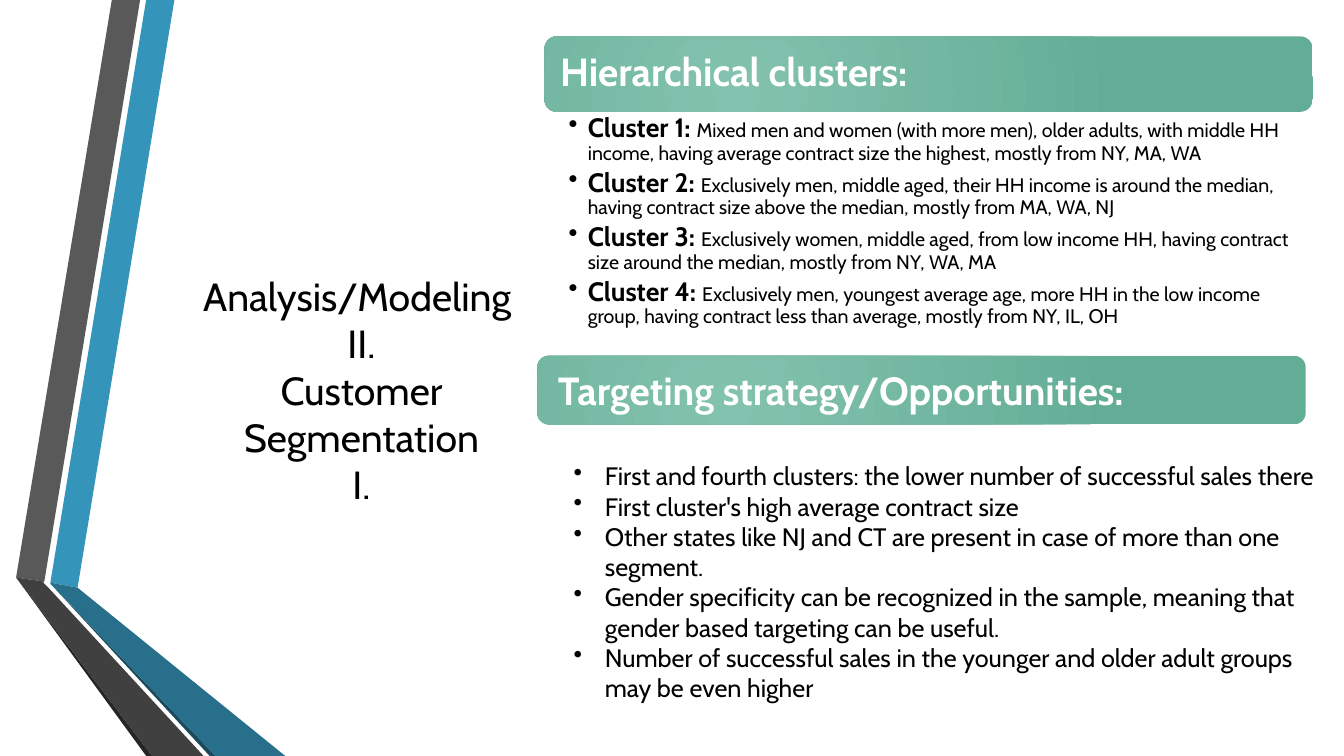
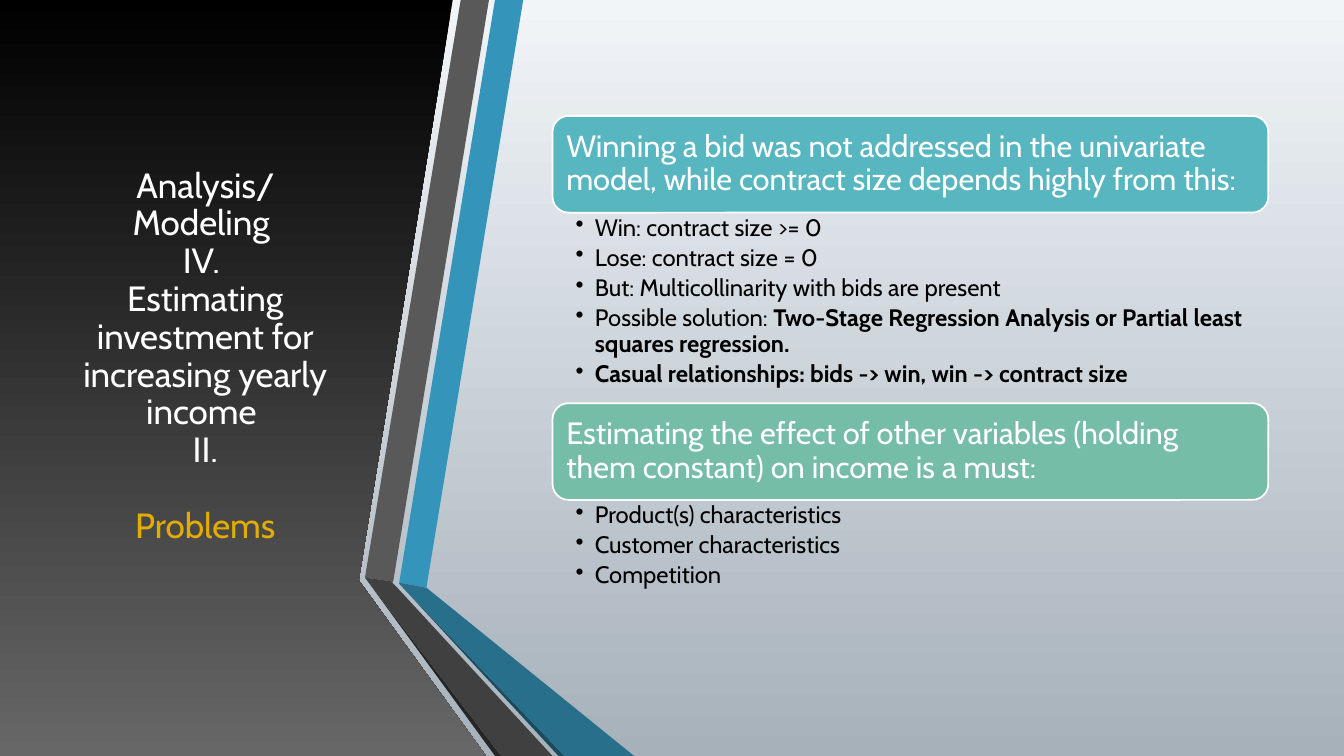
from pptx import Presentation
from pptx.dml.color import RGBColor
from pptx.enum.shapes import MSO_SHAPE
from pptx.enum.text import MSO_ANCHOR, PP_ALIGN
from pptx.oxml import parse_xml
from pptx.oxml.ns import nsdecls
from pptx.util import Pt

PX = 9144  # 100 px to the inch
FONT = "Cabin"
WHITE, BLACK, GOLD = "FFFFFF", "000000", "E2AC00"
SKY = ("F1F5F8", "A6B1BA")
MINT = ("83C2AE", "63AD96")
GLOW = (f'<a:path {nsdecls("a")} path="circle">'
        '<a:fillToRect l="50000" t="100000" r="100000" b="50000"/></a:path>')
DOT = f'<a:buChar {nsdecls("a")} char="•"/>'


def paint(fill, *tones):
    """One tone gives a solid fill, two give a gradient from top to bottom."""
    if len(tones) == 1:
        fill.solid()
        fill.fore_color.rgb = RGBColor.from_string(tones[0])
        return
    fill.gradient()
    fill.gradient_angle = 270
    for stop, tone in zip(fill.gradient_stops, tones):
        stop.color.rgb = RGBColor.from_string(tone)


def write(frame, lines, size, ink, pads=(10, 5, 10, 5), mid=True, lead=1.0,
          gap=0, hang=0, align=PP_ALIGN.LEFT, big=None):
    """Fill a frame with lines; text between asterisks is bold, in size big."""
    frame.word_wrap = True
    frame.vertical_anchor = MSO_ANCHOR.MIDDLE if mid else MSO_ANCHOR.TOP
    (frame.margin_left, frame.margin_top,
     frame.margin_right, frame.margin_bottom) = [pad * PX for pad in pads]
    for num, line in enumerate(lines):
        para = frame.add_paragraph() if num else frame.paragraphs[0]
        if hang:
            props = para._p.get_or_add_pPr()
            props.set("marL", str(hang * PX))
            props.set("indent", str(-hang * PX))
            props.append(parse_xml(DOT))
        para.alignment = align
        para.line_spacing = lead
        para.space_after = Pt(gap)
        para.font.name = FONT
        para.font.size = Pt(size)
        paint(para.font.fill, ink)
        for spot, part in enumerate(line.split("*")):
            for row, text in enumerate(part.split("\n")):
                if row:
                    para.add_line_break()
                if not text:
                    continue
                run = para.add_run()
                run.text = text
                if spot % 2:
                    run.font.bold = True
                    run.font.size = Pt(big or size)


deck = Presentation()
deck.slide_width, deck.slide_height = 1333 * PX, 750 * PX
one, two = [deck.slides.add_slide(deck.slide_layouts[6]) for _ in range(2)]

# Backgrounds
paint(one.background.fill, WHITE)
paint(two.background.fill, *SKY)

# Dark panel and bent ribbons: slide, left shift, fill, outline
PANEL = [(0, 0), (449, 0), (356, 575), (356, 576), (482, 750), (0, 750)]
BANDS = [
    ("3494BA", [(50, 578), (77, 583), (173, 0), (145, 0)]),
    ("595959", [(139, 0), (111, 0), (16, 573), (44, 577)]),
    ("262626", [(16, 573), (145, 750), (151, 750)]),
    ("1A4A5D", [(50, 579), (208, 750), (214, 750)]),
    ("276F8B", [(50, 579), (214, 750), (283, 750), (77, 583), (50, 578)]),
    ("404040", [(202, 750), (48, 583), (43, 578), (44, 577), (16, 573),
                (151, 750)]),
]
forms = [(two, 0, (BLACK, "676767"), PANEL)]
forms += [(slide, left, (tone,), dots)
          for slide, left in ((one, 0), (two, 346)) for tone, dots in BANDS]
for slide, left, tones, dots in forms:
    pen = slide.shapes.build_freeform(*dots[0], scale=PX)
    pen.add_line_segments(dots[1:], close=True)
    form = pen.convert_to_shape(left * PX, 0)
    form.shadow.inherit = False
    form.line.fill.background()
    paint(form.fill, *tones)

# Titles
box = one.shapes.add_textbox(176 * PX, 131 * PX, 365 * PX, 511 * PX)
write(box.text_frame, ["Analysis/Modeling \nII.\nCustomer Segmentation\nI."],
      28, BLACK, align=PP_ALIGN.CENTER)
box = two.shapes.add_textbox(59 * PX, 75 * PX, 289 * PX, 558 * PX)
write(box.text_frame,
      ["Analysis/Modeling \nIV. \nEstimating investment for increasing "
       "yearly income \nII.", "Problems"],
      25, WHITE, lead=0.9, align=PP_ALIGN.CENTER)
last = box.text_frame.paragraphs[-1]
last.space_before = Pt(27)
paint(last.font.fill, GOLD)

# Heading bars: slide, place, fill, text, size, side pad, line spacing
BARS = [
    (one, (540, 36, 762, 75), MINT, "*Hierarchical clusters:*", 28, 12, 0.9),
    (one, (533, 353, 762, 68), MINT, "*Targeting strategy/Opportunities:*",
     28, 17, 1.0),
    (two, (548, 115, 710, 96), ("58B6C0",),
     "Winning a bid was not addressed in the univariate model, while "
     "contract size depends highly from this:", 22, 9, 0.9),
    (two, (548, 400, 710, 96), ("75BDA7",),
     "Estimating the effect of other variables (holding them constant) "
     "on income is a must:", 22, 9, 0.9),
]
for slide, place, tones, text, size, pad, lead in BARS:
    bar = slide.shapes.add_shape(MSO_SHAPE.ROUNDED_RECTANGLE,
                                 *[n * PX for n in place])
    bar.shadow.inherit = False
    paint(bar.fill, *tones)
    if tones == MINT:
        bar.line.fill.background()
        grad = bar._element.spPr.find(".//{*}gradFill")
        grad.replace(grad.find("{*}lin"), parse_xml(GLOW))
    else:
        paint(bar.line.fill, WHITE)
        bar.line.width = Pt(1.25)
    write(bar.text_frame, [text], size, WHITE, (pad, 0, pad, 0), lead=lead)

# Bullet lists: slide, place, lines, size, style
TIGHT = dict(mid=False, lead=0.9, gap=3.2, hang=19)
LISTS = [
    (one, (540, 111, 762, 221), [
        "*Cluster 1: *Mixed men and women (with more men), older adults, "
        "with middle HH income, having average contract size the highest, "
        "mostly from NY, MA, WA",
        "*Cluster 2: *Exclusively men, middle aged, their HH income is "
        "around the median, having contract size above the median, mostly "
        "from MA, WA, NJ",
        "*Cluster 3: *Exclusively women, middle aged, from low income HH, "
        "having contract size around the median, mostly from NY, WA, MA",
        "*Cluster 4: *Exclusively men, youngest average age, more HH in the "
        "low income group, having contract less than average, mostly from "
        "NY, IL, OH",
    ], 14, dict(TIGHT, pads=(24, 3, 15, 3), big=19)),
    (one, (554, 431, 773, 292), [
        "First and fourth clusters: the lower number of successful sales "
        "there",
        "First cluster's high average contract size",
        "Other states like NJ and CT are present in case of more than one "
        "segment.",
        "Gender specificity can be recognized in the sample, meaning that "
        "gender based targeting can be useful.",
        "Number of successful sales in the younger and older adult groups "
        "may be even higher",
    ], 18, dict(pads=(15, 15, 15, 15), hang=31)),
    (two, (548, 211, 710, 189), [
        "Win: contract size >= 0",
        "Lose: contract size = 0",
        "But: Multicollinarity with bids are present",
        "Possible solution: *Two-Stage Regression Analysis or Partial least "
        "squares regression.*",
        "*Casual relationships: bids -> win, win -> contract size*",
    ], 17, dict(TIGHT, pads=(23, 3, 17, 3))),
    (two, (548, 496, 710, 97), [
        "Product(s) characteristics",
        "Customer characteristics",
        "Competition",
    ], 17, dict(TIGHT, pads=(23, 3, 17, 3))),
]
for slide, place, lines, size, style in LISTS:
    box = slide.shapes.add_textbox(*[n * PX for n in place])
    write(box.text_frame, lines, size, BLACK, **style)

deck.save("out.pptx")
